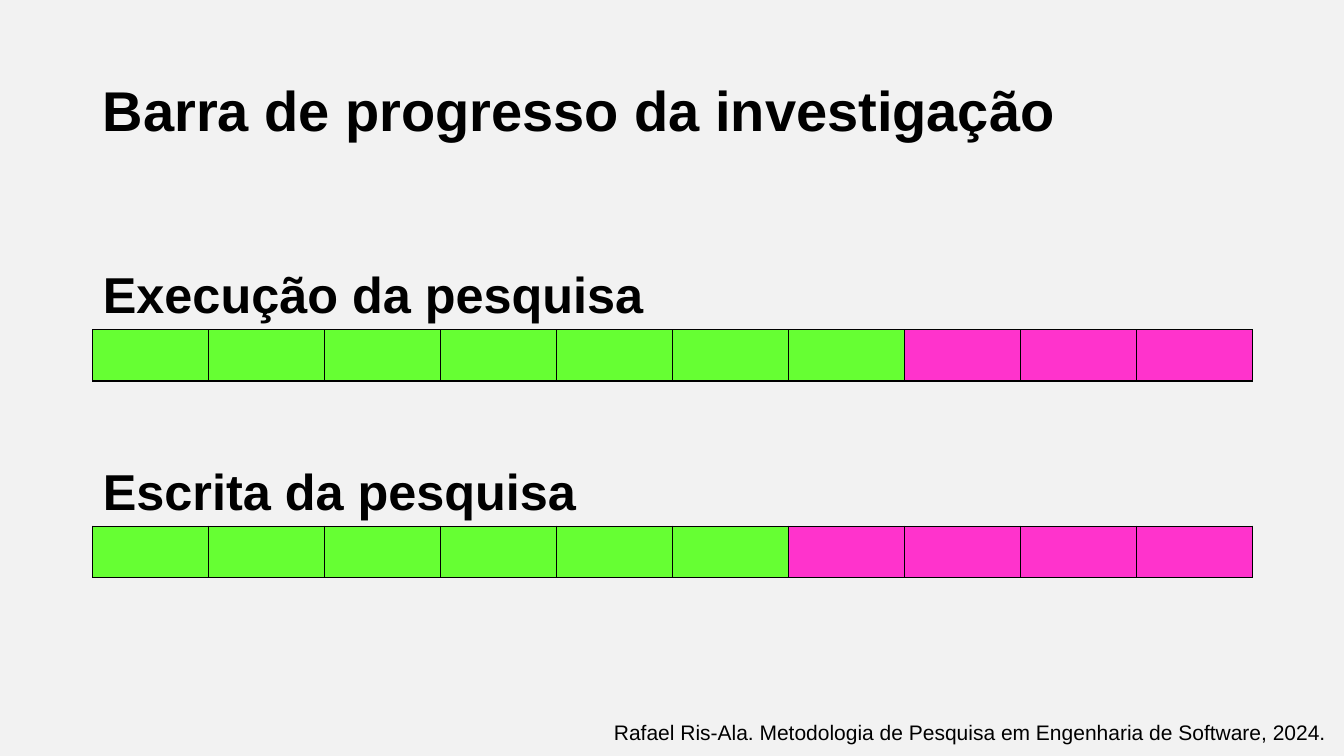
from lxml.etree import SubElement
from pptx import Presentation
from pptx.dml.color import RGBColor
from pptx.enum.shapes import MSO_SHAPE as Shape
from pptx.enum.text import MSO_ANCHOR as Anchor, MSO_AUTO_SIZE as AutoSize, PP_ALIGN as Align
from pptx.oxml.ns import qn
from pptx.util import Inches, Pt

BLACK = RGBColor(0x00, 0x00, 0x00)
LIGHT_GREY = RGBColor(0xF2, 0xF2, 0xF2)
GREEN = RGBColor(0x66, 0xFF, 0x33)
PINK = RGBColor(0xFF, 0x33, 0xCC)
STEPS = 10
BARS = [("Execução da pesquisa", 2.61, 7), ("Escrita da pesquisa", 4.56, 6)]


def write(frame, text, size, bold):
    frame.text = text
    para = frame.paragraphs[0]
    para.alignment = Align.LEFT
    para.font.name = "Arial"
    para.font.size = Pt(size)
    para.font.bold = bold
    para.font.color.rgb = BLACK
    return para


def set_borders(cell, drawn_sides):
    properties = cell._tc.get_or_add_tcPr()
    for side in "LRTB":
        line = SubElement(properties, qn(f"a:ln{side}"), w=str(Pt(1)))
        if side in drawn_sides:
            fill = SubElement(line, qn("a:solidFill"))
            SubElement(fill, qn("a:srgbClr"), val=str(BLACK))
        else:
            SubElement(line, qn("a:noFill"))


deck = Presentation()
deck.slide_width = Inches(13.33)
deck.slide_height = Inches(7.5)
page = deck.slides.add_slide(deck.slide_layouts[5])

title = page.shapes.title
title.left, title.top = Inches(0.92), Inches(0.4)
title.width, title.height = Inches(11.5), Inches(1.45)
title.text_frame.vertical_anchor = Anchor.MIDDLE
heading = write(title.text_frame, "Barra de progresso da investigação", 40, True)
heading.line_spacing = 0.9

backdrop = page.shapes.add_shape(Shape.RECTANGLE, 0, 0, deck.slide_width, deck.slide_height)
backdrop.shadow.inherit = False
backdrop.fill.solid()
backdrop.fill.fore_color.rgb = LIGHT_GREY
backdrop.line.fill.background()
title.element.addprevious(backdrop.element)

for label, top, done in BARS:
    table = page.shapes.add_table(
        2, STEPS, Inches(0.92), Inches(top), Inches(11.5), Inches(1.17)
    ).table
    table.first_row = False
    table.horz_banding = False
    table.rows[0].height = Inches(0.66)
    table.rows[1].height = Inches(0.51)
    for step in range(STEPS):
        label_cell, step_cell = table.cell(0, step), table.cell(1, step)
        set_borders(label_cell, "B")
        label_cell.fill.background()
        set_borders(step_cell, "LRTB")
        step_cell.fill.solid()
        step_cell.fill.fore_color.rgb = GREEN if step < done else PINK
    table.cell(0, 0).merge(table.cell(0, STEPS - 1))
    write(table.cell(0, 0).text_frame, label, 36, True)

credit = page.shapes.add_textbox(Inches(5.99), Inches(7.09), Inches(7.35), Inches(0.35))
credit.text_frame.word_wrap = False
credit.text_frame.auto_size = AutoSize.SHAPE_TO_FIT_TEXT
write(
    credit.text_frame,
    "Rafael Ris-Ala. Metodologia de Pesquisa em Engenharia de Software, 2024.",
    15,
    False,
)

deck.save("out.pptx")
